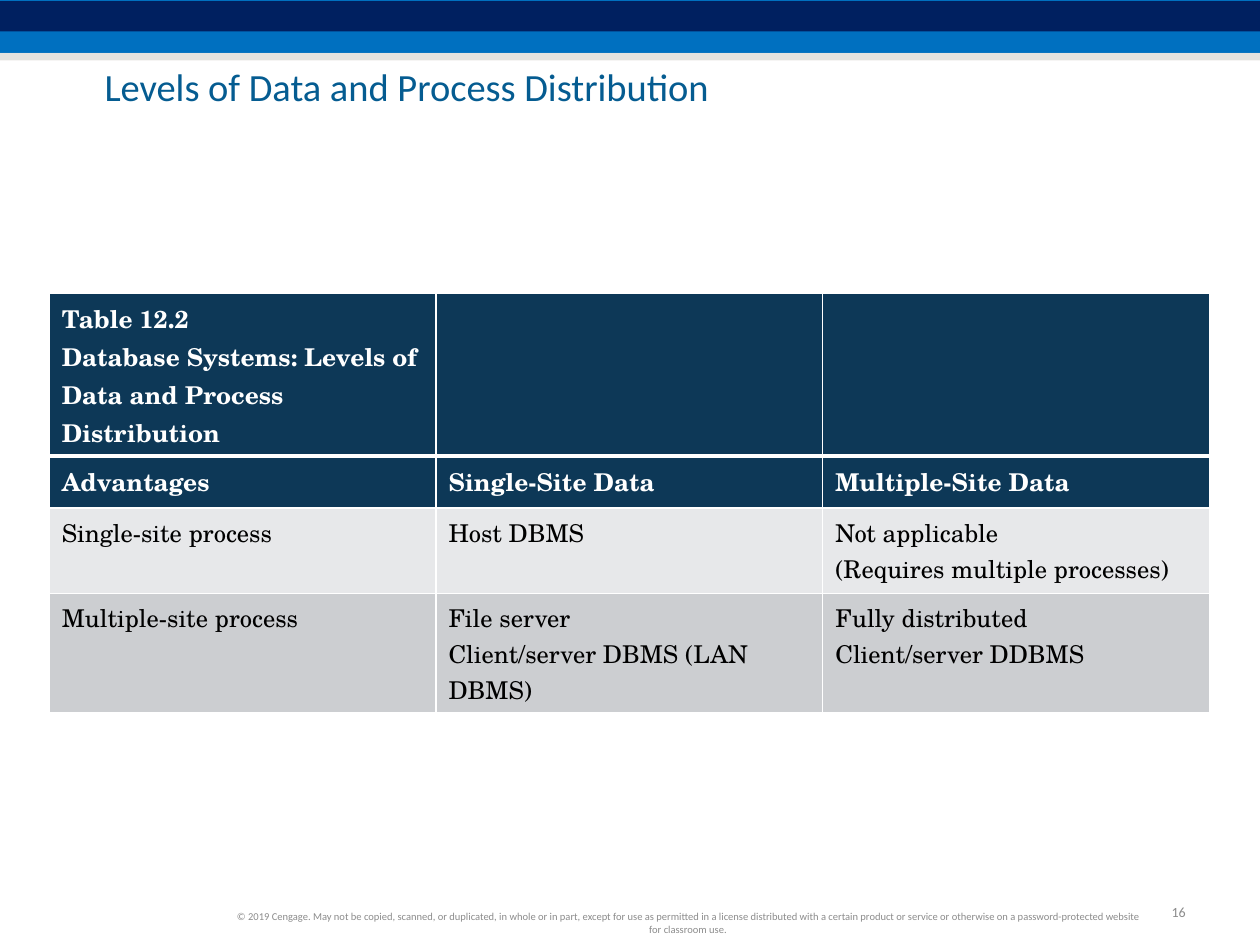
from dataclasses import dataclass

from lxml import etree
from pptx import Presentation
from pptx.dml.color import RGBColor
from pptx.enum.shapes import MSO_SHAPE
from pptx.enum.text import MSO_ANCHOR, PP_ALIGN
from pptx.oxml.ns import qn
from pptx.slide import Slide
from pptx.table import _Cell
from pptx.util import Inches, Pt

RECTANGLE = MSO_SHAPE.RECTANGLE
MIDDLE = MSO_ANCHOR.MIDDLE
LEFT, CENTER, RIGHT = PP_ALIGN.LEFT, PP_ALIGN.CENTER, PP_ALIGN.RIGHT

SLIDE_WIDTH, SLIDE_HEIGHT = Inches(10), Inches(7.5)
SANS, SERIF = "Calibri", "TeX Gyre Schola"
COLORS = {
    "blue": "0070C0",
    "navy": "002060",
    "sand": "CCC9C1",
    "title": "055C91",
    "footer": "8C8C8C",
    "header": "0D3857",
    "light": "E7E8EA",
    "dark": "CCCED1",
    "white": "FFFFFF",
    "black": "000000",
}


@dataclass
class Area:
    """A rectangle in percent of the slide's width and height."""
    left: float
    top: float
    width: float
    height: float

    def lengths(self) -> tuple[int, int, int, int]:
        return (across(self.left), down(self.top), across(self.width), down(self.height))


@dataclass
class Band:
    area: Area
    color: str
    opacity: int = 100


@dataclass
class Label:
    text: str
    area: Area
    size: int
    color: str
    align: PP_ALIGN = LEFT
    wrap: bool = True
    inset: bool = True
    line_spacing: float = 1.0


@dataclass
class Row:
    height: float
    fill: str
    cells: list[str]
    is_header: bool = False
    top_border: int = 1
    bottom_border: int = 1


BANDS = [
    Band(Area(0, 0, 100, 5.6), "blue"),
    Band(Area(0, 0.13, 100, 3.2), "navy"),
    Band(Area(0, 5.6, 100, 0.8), "sand", opacity=50),
]
LABELS = [
    Label("16", Area(91.7, 94.93, 3.4, 3.2), 8, "footer", RIGHT, wrap=False),
    Label("Levels of Data and Process Distribution", Area(8.3, 7.47, 87.8, 4.13),
          22, "title", inset=False, line_spacing=0.85),
    Label("© 2019 Cengage. May not be copied, scanned, or duplicated, in whole or in part, "
          "except for use as permitted in a license distributed with a certain product or "
          "service or otherwise on a password-protected website for classroom use.",
          Area(17.5, 95.87, 74.2, 3.6), 6, "footer", CENTER),
]
ROWS = [
    Row(17.2, "header",
        ["Table 12.2\nDatabase Systems: Levels of Data and Process Distribution", "", ""],
        is_header=True, bottom_border=3),
    Row(5.47, "header", ["Advantages", "Single-Site Data", "Multiple-Site Data"],
        is_header=True, top_border=3),
    Row(9.07, "light", ["Single-site process", "Host DBMS",
                        "Not applicable\n(Requires multiple processes)"]),
    Row(12.67, "dark", ["Multiple-site process", "File server\nClient/server DBMS (LAN DBMS)",
                        "Fully distributed\nClient/server DDBMS"]),
]
TABLE_AREA = Area(3.9, 31.07, 92.1, sum(row.height for row in ROWS))


def across(percent: float) -> int:
    return round(SLIDE_WIDTH * percent / 100)


def down(percent: float) -> int:
    return round(SLIDE_HEIGHT * percent / 100)


def rgb(name: str) -> RGBColor:
    return RGBColor.from_string(COLORS[name])


def draw_band(slide: Slide, band: Band) -> None:
    shape = slide.shapes.add_shape(RECTANGLE, *band.area.lengths())
    shape.shadow.inherit = False
    shape.line.fill.background()
    shape.fill.solid()
    shape.fill.fore_color.rgb = rgb(band.color)
    if band.opacity < 100:
        color = shape.fill._xPr.find(".//" + qn("a:srgbClr"))
        etree.SubElement(color, qn("a:alpha"), val=str(band.opacity * 1000))


def draw_label(slide: Slide, label: Label) -> None:
    box = slide.shapes.add_textbox(*label.area.lengths())
    frame = box.text_frame
    frame.word_wrap = label.wrap
    frame.vertical_anchor = MIDDLE
    if not label.inset:
        frame.margin_left = frame.margin_top = frame.margin_right = frame.margin_bottom = 0
    para = frame.paragraphs[0]
    para.text = label.text
    para.alignment = label.align
    para.line_spacing = label.line_spacing
    para.font.name = SANS
    para.font.size = Pt(label.size)
    para.font.color.rgb = rgb(label.color)


def add_borders(cell: _Cell, row: Row) -> None:
    properties = cell._tc.get_or_add_tcPr()
    widths = {"lnL": 1, "lnR": 1, "lnT": row.top_border, "lnB": row.bottom_border}
    for position, (side, width) in enumerate(widths.items()):
        line = etree.Element(qn(f"a:{side}"), w=str(Pt(width)))
        fill = etree.SubElement(line, qn("a:solidFill"))
        etree.SubElement(fill, qn("a:srgbClr"), val=COLORS["white"])
        properties.insert(position, line)


def fill_cell(cell: _Cell, text: str, row: Row) -> None:
    cell.fill.solid()
    cell.fill.fore_color.rgb = rgb(row.fill)
    add_borders(cell, row)
    cell.text = text
    for para in cell.text_frame.paragraphs:
        para.font.name = SERIF
        para.font.size = Pt(14)
        para.font.bold = row.is_header
        para.font.color.rgb = rgb("white" if row.is_header else "black")


def draw_table(slide: Slide, area: Area, rows: list[Row]) -> None:
    column_count = len(rows[0].cells)
    table = slide.shapes.add_table(len(rows), column_count, *area.lengths()).table
    for column in table.columns:
        column.width = across(area.width / column_count)
    for row_index, row in enumerate(rows):
        table.rows[row_index].height = down(row.height)
        for column_index, text in enumerate(row.cells):
            fill_cell(table.cell(row_index, column_index), text, row)


def main() -> None:
    deck = Presentation()
    deck.slide_width, deck.slide_height = SLIDE_WIDTH, SLIDE_HEIGHT
    slide = deck.slides.add_slide(deck.slide_layouts[6])
    for band in BANDS:
        draw_band(slide, band)
    for label in LABELS:
        draw_label(slide, label)
    draw_table(slide, TABLE_AREA, ROWS)
    deck.save("out.pptx")


if __name__ == "__main__":
    main()
